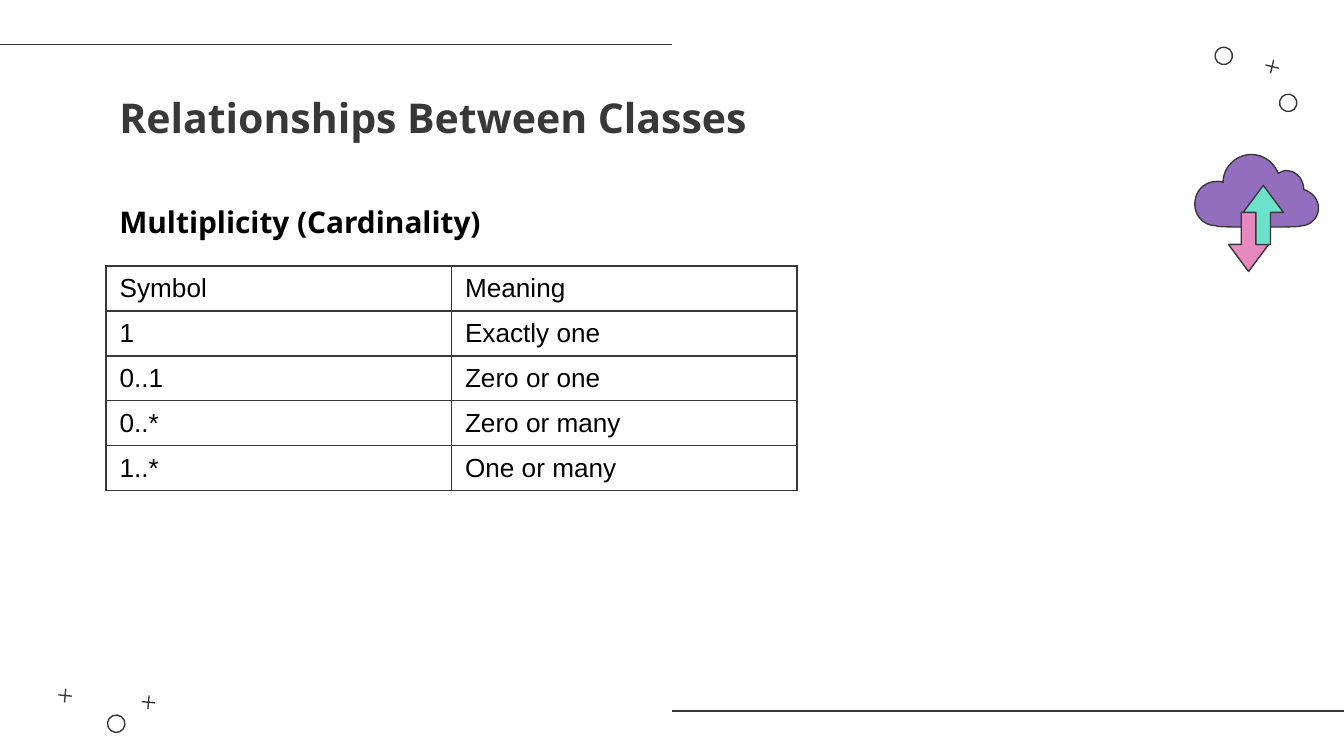
from dataclasses import dataclass

from lxml import etree
from pptx import Presentation
from pptx.dml.color import RGBColor
from pptx.enum import shapes as kinds, text as styles
from pptx.oxml import ns
from pptx.util import Inches, Pt


@dataclass(frozen=True)
class Theme:
    ink: str = "383838"
    black: str = "000000"
    paper: str = "FFFFFF"
    purple: str = "946EBE"
    pink: str = "E589BF"
    mint: str = "6CE2CB"
    heading_font: str = "Open Sans"
    body_font: str = "Arial"
    title_size: float = 22
    subtitle_size: float = 16
    cell_size: float = 14
    outline: float = 0.75
    border: float = 1


THEME = Theme()
PRESET = kinds.MSO_SHAPE

ORNAMENTS = [
    (PRESET.OVAL, 9.52, 0.7, 193.8),
    (PRESET.MATH_PLUS, 9.4, 0.43, 193.8),
    (PRESET.OVAL, 9.04, 0.35, 193.8),
    (PRESET.OVAL, 0.8, 5.32, 275.3),
    (PRESET.MATH_PLUS, 1.04, 5.16, 275.3),
    (PRESET.MATH_PLUS, 0.42, 5.11, 275.3),
]

CLOUD_START = (9.31, 1.15)
CLOUD_CURVES = [
    ((9.2, 1.15), (9.1, 1.24), (9.1, 1.36)),
    ((9.09, 1.35), (9.07, 1.35), (9.06, 1.35)),
    ((8.96, 1.35), (8.89, 1.42), (8.89, 1.52)),
    ((8.89, 1.61), (8.96, 1.68), (9.05, 1.68)),
    ((9.05, 1.69), (9.2, 1.69), (9.36, 1.69)),
    ((9.52, 1.69), (9.68, 1.69), (9.68, 1.68)),
    ((9.75, 1.68), (9.81, 1.62), (9.81, 1.55)),
    ((9.81, 1.48), (9.76, 1.43), (9.7, 1.41)),
    ((9.7, 1.33), (9.64, 1.27), (9.57, 1.27)),
    ((9.55, 1.27), (9.53, 1.28), (9.51, 1.29)),
    ((9.48, 1.21), (9.4, 1.15), (9.31, 1.15)),
]

MULTIPLICITIES = [
    ("Symbol", "Meaning"),
    ("1", "Exactly one"),
    ("0..1", "Zero or one"),
    ("0..*", "Zero or many"),
    ("1..*", "One or many"),
]


def color(value):
    return RGBColor.from_string(value)


def write(frame, content, *, size, font, ink=THEME.black, bold=False):
    paragraph = frame.paragraphs[0]
    run = paragraph.add_run()
    run.text = content
    run.font.size = Pt(size)
    run.font.name = font
    run.font.bold = bold
    run.font.color.rgb = color(ink)


def add_heading(slide, content, box, inset, *, fit=styles.MSO_AUTO_SIZE.NONE, **style):
    frame = slide.shapes.add_textbox(*map(Inches, box)).text_frame
    frame.word_wrap = True
    frame.auto_size = fit
    frame.vertical_anchor = styles.MSO_ANCHOR.TOP
    frame.margin_top = frame.margin_bottom = Inches(inset)
    write(frame, content, font=THEME.heading_font, bold=True, **style)


def paint(shape, fill=None):
    shape.shadow.inherit = False
    if fill:
        shape.fill.solid()
        shape.fill.fore_color.rgb = color(fill)
    else:
        shape.fill.background()
    shape.line.color.rgb = color(THEME.ink)
    shape.line.width = Pt(THEME.outline)


def add_ornament(slide, preset, left, top, rotation):
    ornament = slide.shapes.add_shape(preset, *map(Inches, (left, top, 0.13, 0.13)))
    if preset == PRESET.MATH_PLUS:
        ornament.adjustments[0] = 0
    ornament.rotation = rotation
    paint(ornament)


def add_rule(slide, left, top):
    ends = map(Inches, (left, top, left + 5, top))
    rule = slide.shapes.add_connector(kinds.MSO_CONNECTOR.STRAIGHT, *ends)
    rule.line.color.rgb = color(THEME.ink)
    rule.line.width = Pt(THEME.outline)
    etree.SubElement(rule._element.spPr, ns.qn("a:effectLst"))


def curve_points(start, first, second, end, steps=12):
    controls = (start, first, second, end)
    for step in range(1, steps + 1):
        t = step / steps
        weights = ((1 - t) ** 3, 3 * t * (1 - t) ** 2, 3 * t**2 * (1 - t), t**3)
        yield tuple(
            Inches(sum(w * point[axis] for w, point in zip(weights, controls)))
            for axis in (0, 1)
        )


def add_cloud(slide):
    outline, start = [], CLOUD_START
    for curve in CLOUD_CURVES:
        outline.extend(curve_points(start, *curve))
        start = curve[-1]
    builder = slide.shapes.build_freeform(*map(Inches, CLOUD_START), scale=1.0)
    builder.add_line_segments(outline, close=True)
    paint(builder.convert_to_shape(), THEME.purple)


def add_transfer_arrow(slide, preset, left, top, fill):
    arrow = slide.shapes.add_shape(preset, *map(Inches, (left, top, 0.3, 0.44)))
    arrow.adjustments[0] = 0.36
    arrow.adjustments[1] = 0.67
    paint(arrow, fill)


def add_borders(cell):
    properties = cell._tc.get_or_add_tcPr()
    for index, side in enumerate(("lnL", "lnR", "lnT", "lnB")):
        border = etree.Element(ns.qn(f"a:{side}"), w=str(Pt(THEME.border)))
        fill = etree.SubElement(border, ns.qn("a:solidFill"))
        etree.SubElement(fill, ns.qn("a:srgbClr"), val=THEME.ink)
        properties.insert(index, border)


def add_multiplicity_table(slide):
    box = map(Inches, (0.79, 1.98, 5.14, 1.67))
    table = slide.shapes.add_table(len(MULTIPLICITIES), 2, *box).table
    table.first_row = table.horz_banding = False
    for row, entries in enumerate(MULTIPLICITIES):
        for column, entry in enumerate(entries):
            cell = table.cell(row, column)
            cell.fill.background()
            cell.vertical_anchor = styles.MSO_ANCHOR.MIDDLE
            write(cell.text_frame, entry, size=THEME.cell_size, font=THEME.body_font)
            add_borders(cell)


def main():
    deck = Presentation()
    deck.slide_width = Inches(10)
    deck.slide_height = deck.slide_width * 9 // 16
    slide = deck.slides.add_slide(deck.slide_layouts[6])
    slide.background.fill.solid()
    slide.background.fill.fore_color.rgb = color(THEME.paper)

    for ornament in ORNAMENTS:
        add_ornament(slide, *ornament)
    add_rule(slide, 5, 5.29)
    add_rule(slide, 0, 0.33)
    add_cloud(slide)
    add_transfer_arrow(slide, PRESET.DOWN_ARROW, 9.14, 1.58, THEME.pink)
    add_transfer_arrow(slide, PRESET.UP_ARROW, 9.25, 1.38, THEME.mint)
    add_heading(slide, "Relationships Between Classes", (0.79, 0.59, 8.42, 0.63),
                0.1, size=THEME.title_size, ink=THEME.ink)
    add_heading(slide, "Multiplicity (Cardinality)", (0.79, 1.47, 6.4, 0.37),
                0.05, size=THEME.subtitle_size,
                fit=styles.MSO_AUTO_SIZE.SHAPE_TO_FIT_TEXT)
    add_multiplicity_table(slide)
    deck.save("out.pptx")


if __name__ == "__main__":
    main()
